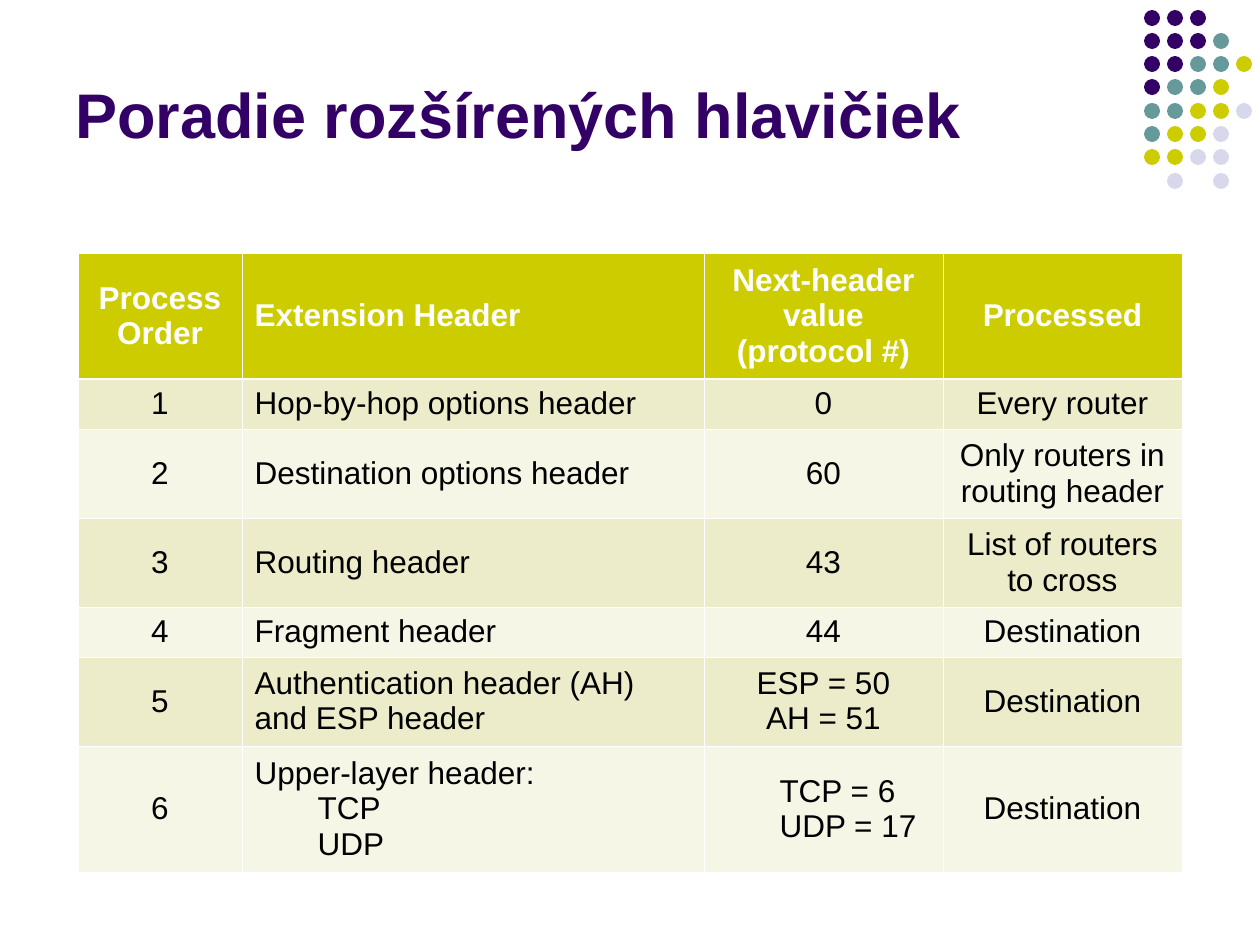
from lxml.etree import SubElement
from pptx import Presentation
from pptx.dml.color import RGBColor
from pptx.enum.shapes import MSO_SHAPE
from pptx.enum.text import MSO_ANCHOR, MSO_AUTO_SIZE, PP_ALIGN
from pptx.oxml.ns import qn
from pptx.util import Pt

SCALE = 914400 / 126
COLORS = {
    "purple": "330066", "teal": "669999", "lime": "CCCC00", "lavender": "D8D8EC",
    "odd": "ECECCB", "even": "F6F6E7", "white": "FFFFFF", "black": "000000",
}
DOT_COLORS = {"p": "purple", "t": "teal", "l": "lime", "v": "lavender"}
DOT_ROWS = ["ppp", "pppt", "ppttl", "pttl", "ttllv", "tllv", "llvv", ".v.v"]
COLUMN_WIDTHS = [164, 462, 239, 239]
ROW_HEIGHTS = [126, 50, 89, 89, 50, 89, 126]
INDENT = 63
ROWS = [
    ["Process Order", "Extension Header", "Next-header value\n(protocol #)", "Processed"],
    ["1", "Hop-by-hop options header", "0", "Every router"],
    ["2", "Destination options header", "60", "Only routers in routing header"],
    ["3", "Routing header", "43", "List of routers to cross"],
    ["4", "Fragment header", "44", "Destination"],
    ["5", "Authentication header (AH) and ESP header", "ESP = 50\nAH = 51", "Destination"],
    ["6", "Upper-layer header:\n\tTCP\n\tUDP", "\tTCP = 6\n\tUDP = 17", "Destination"],
]


def px(length):
    return round(length * SCALE)


def color(name):
    return RGBColor.from_string(COLORS[name])


def set_values(target, values):
    for name, value in values.items():
        setattr(target, name, value)


def format_font(para, size, color_name, bold):
    set_values(para.font, {"name": "Arial", "size": Pt(size), "bold": bold})
    para.font.color.rgb = color(color_name)


def add_title(page, text):
    title = page.shapes.title
    set_values(title, {"left": px(63), "top": px(16), "width": px(1071), "height": px(141)})
    frame = title.text_frame
    frame.text = text
    set_values(frame, {
        "word_wrap": True,
        "auto_size": MSO_AUTO_SIZE.NONE,
        "vertical_anchor": MSO_ANCHOR.BOTTOM,
    })
    para = frame.paragraphs[0]
    para.alignment = PP_ALIGN.LEFT
    format_font(para, 36, "purple", True)


def add_dot(page, left, top, color_name):
    dot = page.shapes.add_shape(MSO_SHAPE.OVAL, px(left), px(top), px(16), px(16))
    dot.shadow.inherit = False
    dot.fill.solid()
    dot.fill.fore_color.rgb = color(color_name)
    dot.line.fill.background()


def add_dot_pattern(page):
    for row, codes in enumerate(DOT_ROWS):
        for column, code in enumerate(codes):
            if code in DOT_COLORS:
                add_dot(page, 1144 + 23 * column, 10 + 163 * row // 7, DOT_COLORS[code])


def set_borders(cell, widths):
    properties = cell._tc.get_or_add_tcPr()
    for side, width in widths.items():
        line = SubElement(properties, qn(f"a:ln{side}"), w=str(Pt(width)))
        fill = SubElement(line, qn("a:solidFill"))
        SubElement(fill, qn("a:srgbClr"), val=COLORS["white"])


def fill_cell(cell, text, row, column):
    header = row == 0
    set_borders(cell, {
        "L": 0.45, "R": 0.45,
        "T": 1.47 if row == 1 else 0.45,
        "B": 1.47 if header else 0.45,
    })
    cell.fill.solid()
    cell.fill.fore_color.rgb = color("lime" if header else "odd" if row % 2 else "even")
    cell.vertical_anchor = MSO_ANCHOR.MIDDLE
    lines = text.split("\n")
    cell.text = "\n".join(line.strip() for line in lines)
    for para, line in zip(cell.text_frame.paragraphs, lines):
        indented = line.startswith("\t")
        para.alignment = PP_ALIGN.LEFT if indented or column == 1 else PP_ALIGN.CENTER
        if indented:
            para.level = 1
            para._p.get_or_add_pPr().set("marL", str(px(INDENT)))
        format_font(para, 18, "white" if header else "black", header)


def add_header_table(page):
    frame = page.shapes.add_table(
        len(ROWS), len(COLUMN_WIDTHS), px(78), px(253),
        px(sum(COLUMN_WIDTHS)), px(sum(ROW_HEIGHTS)))
    table = frame.table
    for column, width in zip(table.columns, COLUMN_WIDTHS):
        column.width = px(width)
    for row, height in zip(table.rows, ROW_HEIGHTS):
        row.height = px(height)
    for row, texts in enumerate(ROWS):
        for column, text in enumerate(texts):
            fill_cell(table.cell(row, column), text, row, column)


def main():
    deck = Presentation()
    set_values(deck, {"slide_width": px(1260), "slide_height": px(945)})
    page = deck.slides.add_slide(deck.slide_layouts[5])
    add_dot_pattern(page)
    add_header_table(page)
    add_title(page, "Poradie rozšírených hlavičiek")
    deck.save("out.pptx")


if __name__ == "__main__":
    main()
